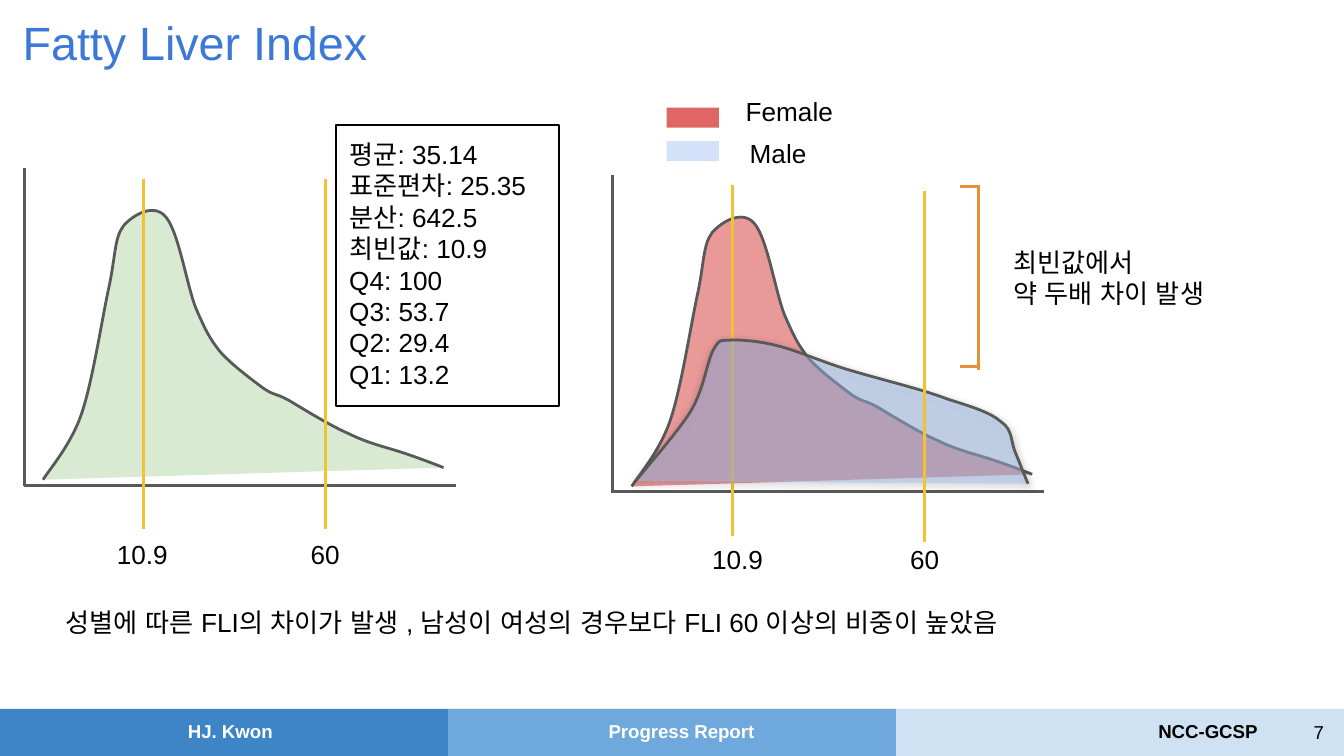
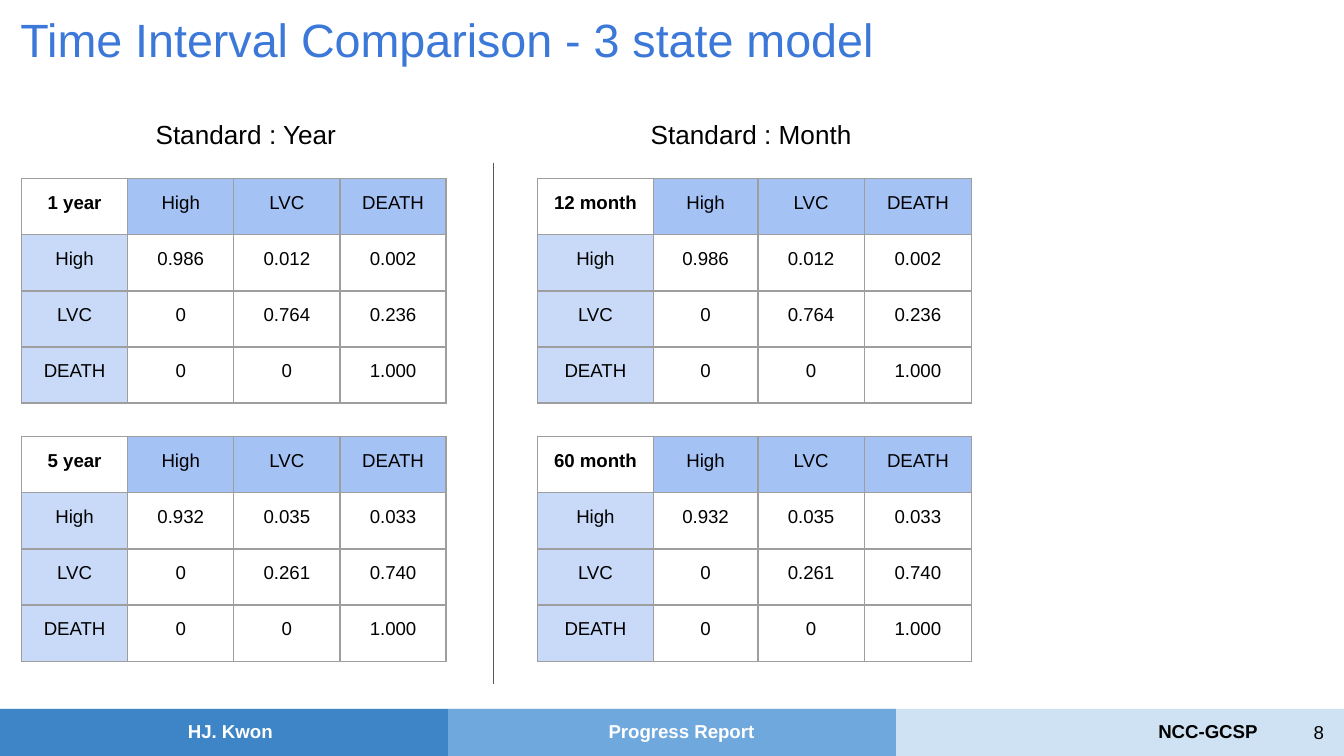
from dataclasses import dataclass

from lxml import etree
from pptx import Presentation
from pptx.dml.color import RGBColor
from pptx.enum.shapes import MSO_CONNECTOR, MSO_SHAPE
from pptx.enum.text import MSO_ANCHOR, MSO_AUTO_SIZE, PP_ALIGN
from pptx.oxml.ns import qn
from pptx.util import Pt

LEFT, CENTER, RIGHT = PP_ALIGN.LEFT, PP_ALIGN.CENTER, PP_ALIGN.RIGHT
TOP, MIDDLE = MSO_ANCHOR.TOP, MSO_ANCHOR.MIDDLE
GROW, FIXED = MSO_AUTO_SIZE.SHAPE_TO_FIT_TEXT, MSO_AUTO_SIZE.NONE
RECTANGLE, STRAIGHT = MSO_SHAPE.RECTANGLE, MSO_CONNECTOR.STRAIGHT

PX = 9144  # EMU per px, 100 px to the inch
SLIDE_WIDTH, SLIDE_HEIGHT = 1000, 562.5
INSET = 10
TITLE_ONLY = 5


@dataclass(frozen=True)
class Theme:
    font: str = "Arial"
    title_size: int = 25
    body_size: int = 14
    small_size: int = 10
    thin: float = 0.75
    thick: float = 1.5
    title: str = "3C78D8"
    ink: str = "000000"
    white: str = "FFFFFF"
    band_dark: str = "3D85C6"
    band_mid: str = "6FA8DC"
    band_light: str = "CFE2F3"
    axis: str = "595959"
    marker: str = "F1C232"
    bracket: str = "E69138"
    everyone: str = "D9EAD3"
    female: str = "EA9999"
    female_key: str = "E06666"
    male: str = "A4C2F4"
    male_alpha: int = 47
    shadow_alpha: int = 33
    column_head: str = "A4C2F4"
    row_head: str = "C9DAF8"
    grid: str = "9E9E9E"


THEME = Theme()

# Footer: bands as (left, width, colour), labels as (text, left, width, colour)
BAND_HEIGHT = 35
THIRD = SLIDE_WIDTH / 3
BANDS = [(0, SLIDE_WIDTH, THEME.band_light), (THIRD, THIRD, THEME.band_mid),
         (0, THIRD, THEME.band_dark)]
FOOTER_LABELS = [
    ("NCC-GCSP", 852, 100, THEME.ink),
    ("HJ. Kwon", 130, 130, THEME.white),
    ("Progress Report", 443, 130, THEME.white),
]

FLI_TITLE = "Fatty Liver Index"
STATISTICS = ["평균: 35.14", "표준편차: 25.35", "분산: 642.5", "최빈값: 10.9",
              "Q4: 100", "Q3: 53.7", "Q2: 29.4", "Q1: 13.2"]
MODE_NOTE = ["최빈값에서", "약 두배 차이 발생"]
CONCLUSION = "성별에 따른 FLI의 차이가 발생 , 남성이 여성의 경우보다 FLI 60 이상의 비중이 높았음"
# Marker: (label, x, top, bottom, label left, label top, label alignment)
ALL_MARKERS = [("10.9", 107, 133, 394, 76, 391, CENTER), ("60", 242, 133, 394, 212, 391, CENTER)]
MODE_MARKER = ("10.9", 545, 138, 399, 520, 394, LEFT)
CUTOFF_MARKER = ("60", 688, 142, 403, 658, 394, CENTER)
AXES = [(18, 125, 18, 362), (339, 361, 18, 361)]
BRACKET = [(714, 139, 728, 139), (728, 138, 728, 275), (714, 273, 728, 273)]
BY_SEX_OFFSET = (438, 5)
# Legend: (label, key top, label left, label top, colour, alpha)
LEGEND = [("Female", 80, 545, 61, THEME.female_key, None),
          ("Male", 105, 548, 92, THEME.male, THEME.male_alpha)]

# Curves: a start point, then cubic segments of two controls and an end point
SKEWED_CURVE = [
    (32, 357),
    (37, 349), (53, 331), (61, 307),
    (69, 283), (76, 237), (81, 214),
    (86, 191), (85, 177), (92, 168),
    (99, 160), (114, 151), (123, 161),
    (133, 172), (139, 213), (146, 230),
    (153, 246), (156, 252), (164, 262),
    (173, 272), (188, 283), (196, 289),
    (205, 295), (204, 292), (215, 298),
    (225, 304), (246, 317), (260, 323),
    (274, 330), (288, 333), (300, 337),
    (312, 341), (325, 346), (330, 348),
]
MALE_CURVE = [
    (473, 358),
    (480, 349), (504, 322), (514, 306),
    (524, 289), (526, 269), (531, 260),
    (536, 251), (537, 254), (545, 253),
    (553, 253), (567, 254), (581, 258),
    (596, 262), (613, 270), (634, 276),
    (654, 282), (687, 290), (705, 297),
    (724, 303), (737, 307), (745, 314),
    (754, 320), (752, 330), (756, 338),
    (759, 345), (763, 356), (765, 360),
]

INTERVAL_TITLE = "Time Interval Comparison - 3 state model"
STATES = ["High", "LVC", "DEATH"]
ONE_YEAR = [["0.986", "0.012", "0.002"], ["0", "0.764", "0.236"], ["0", "0", "1.000"]]
FIVE_YEARS = [["0.932", "0.035", "0.033"], ["0", "0.261", "0.740"], ["0", "0", "1.000"]]
# Standard: (heading, heading left, tables left, column widths, interval names)
STANDARDS = [
    ("Standard : Year", 75, 16, [79, 79, 79, 79], ["1 year", "5 year"]),
    ("Standard : Month", 451, 400, [86, 78, 79, 80], ["12 month", "60 month"]),
]
TABLE_TOP, TABLE_PITCH, TABLE_HEIGHT = 133, 192, 167
DIVIDER = (367, 121, 367, 509)


def emu(*lengths):
    return [round(length * PX) for length in lengths]


def rgb(code):
    return RGBColor.from_string(code)


def set_insets(holder):
    holder.margin_left = holder.margin_right = INSET * PX
    holder.margin_top = holder.margin_bottom = INSET * PX


def write(frame, lines, size, color=THEME.ink, align=LEFT, bold=False):
    for index, line in enumerate(lines):
        paragraph = frame.add_paragraph() if index else frame.paragraphs[0]
        paragraph.alignment = align
        run = paragraph.add_run()
        run.text = line
        run.font.name, run.font.size, run.font.bold = THEME.font, Pt(size), bold
        run.font.color.rgb = rgb(color)
        for script in ("a:ea", "a:cs"):
            etree.SubElement(run.font._element, qn(script), typeface=THEME.font)


def add_text(slide, lines, box, size=THEME.body_size, **style):
    frame = slide.shapes.add_textbox(*emu(*box)).text_frame
    frame.word_wrap = True
    frame.auto_size = GROW
    set_insets(frame)
    write(frame, lines, size, **style)
    return frame


def paint(shape, fill=None, line=None, width=THEME.thick, alpha=None):
    shape.shadow.inherit = False
    if fill:
        shape.fill.solid()
        shape.fill.fore_color.rgb = rgb(fill)
    else:
        shape.fill.background()
    if alpha:
        color = shape.element.spPr.find(f"{qn('a:solidFill')}/{qn('a:srgbClr')}")
        etree.SubElement(color, qn("a:alpha"), val=str(alpha * 1000))
    if line:
        shape.line.color.rgb = rgb(line)
        shape.line.width = Pt(width)
    else:
        shape.line.fill.background()


def add_box(slide, box, **look):
    shape = slide.shapes.add_shape(RECTANGLE, *emu(*box))
    paint(shape, **look)
    return shape


def add_line(shapes, ends, color, width=THEME.thick):
    connector = shapes.add_connector(STRAIGHT, *emu(*ends))
    connector.line.color.rgb = rgb(color)
    connector.line.width = Pt(width)
    etree.SubElement(connector.element.spPr, qn("a:effectLst"))


def add_line_group(slide, lines, color, dx=0, dy=0):
    group = slide.shapes.add_group_shape()
    for x1, y1, x2, y2 in lines:
        add_line(group.shapes, (x1 + dx, y1 + dy, x2 + dx, y2 + dy), color)


def add_curve(slide, curve, fill, dx=0, dy=0, alpha=None):
    """Draw a freeform through the segment ends, then bend each segment."""
    points = [emu(x + dx, y + dy) for x, y in curve]
    builder = slide.shapes.build_freeform(*points[0])
    builder.add_line_segments(points[3::3], close=False)
    shape = builder.convert_to_shape()
    for index, straight in enumerate(list(shape.element.iter(qn("a:lnTo")))):
        bend = etree.Element(qn("a:cubicBezTo"))
        for x, y in points[3 * index + 1:3 * index + 4]:
            etree.SubElement(bend, qn("a:pt"), x=str(x - shape.left), y=str(y - shape.top))
        straight.getparent().replace(straight, bend)
    paint(shape, fill, THEME.axis, alpha=alpha)
    return shape


def cast_shadow(shape):
    effects = shape.element.spPr.find(qn("a:effectLst"))
    shadow = etree.SubElement(effects, qn("a:outerShdw"), blurRad=str(Pt(4.5)),
                              dist=str(Pt(1.5)), dir="5400000", algn="bl", rotWithShape="0")
    color = etree.SubElement(shadow, qn("a:srgbClr"), val=THEME.ink)
    etree.SubElement(color, qn("a:alpha"), val=str(THEME.shadow_alpha * 1000))


def add_marker(slide, marker):
    label, x, top, bottom, label_left, label_top, align = marker
    add_line(slide.shapes, (x, top, x, bottom), THEME.marker)
    add_text(slide, [label], (label_left, label_top, 60, 44), align=align)


def add_slide(deck, title, title_box, number):
    """Add a slide with its title, footer bands and page number."""
    slide = deck.slides.add_slide(deck.slide_layouts[TITLE_ONLY])
    heading = slide.shapes.title
    heading.left, heading.top, heading.width, heading.height = emu(*title_box)
    heading.text_frame.vertical_anchor = TOP
    heading.text_frame.auto_size = GROW
    set_insets(heading.text_frame)
    write(heading.text_frame, [title], THEME.title_size, THEME.title, CENTER)
    for left, width, color in BANDS:
        add_box(slide, (left, SLIDE_HEIGHT - BAND_HEIGHT, width, BAND_HEIGHT), fill=color)
    page = add_text(slide, [str(number)], (935, 523, 60, 43), THEME.small_size, align=RIGHT)
    page.auto_size, page.vertical_anchor = FIXED, MIDDLE
    for label, left, width, color in FOOTER_LABELS:
        add_text(slide, [label], (left, 527, width, 37), THEME.small_size, color=color, bold=True)
    return slide


def add_fli_slide(deck):
    slide = add_slide(deck, FLI_TITLE, (-2, 0, 294, 62), 7)
    add_line_group(slide, AXES, THEME.axis)
    add_curve(slide, SKEWED_CURVE, THEME.everyone)
    for marker in ALL_MARKERS:
        add_marker(slide, marker)
    summary = add_box(slide, (250, 93, 166, 209), line=THEME.ink, width=THEME.thin).text_frame
    summary.vertical_anchor = TOP
    set_insets(summary)
    write(summary, STATISTICS, THEME.body_size)

    add_line_group(slide, AXES, THEME.axis, *BY_SEX_OFFSET)
    add_curve(slide, SKEWED_CURVE, THEME.female, *BY_SEX_OFFSET)
    add_marker(slide, MODE_MARKER)
    cast_shadow(add_curve(slide, MALE_CURVE, THEME.male, alpha=THEME.male_alpha))
    add_marker(slide, CUTOFF_MARKER)
    for label, key_top, label_left, label_top, color, alpha in LEGEND:
        add_box(slide, (496, key_top, 39, 15), fill=color, alpha=alpha)
        add_text(slide, [label], (label_left, label_top, 93, 44))
    add_line_group(slide, BRACKET, THEME.bracket)
    add_text(slide, [CONCLUSION], (39, 441, 813, 44))
    add_text(slide, MODE_NOTE, (744, 173, 200, 67))


def add_borders(cell):
    properties = cell._tc.get_or_add_tcPr()
    for side in ("lnL", "lnR", "lnT", "lnB"):
        border = etree.SubElement(properties, qn(f"a:{side}"), w=str(Pt(THEME.thin)))
        fill = etree.SubElement(border, qn("a:solidFill"))
        etree.SubElement(fill, qn("a:srgbClr"), val=THEME.grid)


def add_matrix(slide, interval, probabilities, left, top, widths):
    rows = [[interval] + STATES] + [[state] + row for state, row in zip(STATES, probabilities)]
    box = emu(left, top, sum(widths), TABLE_HEIGHT)
    table = slide.shapes.add_table(len(rows), len(widths), *box).table
    table.first_row = table.horz_banding = False
    for column, width in zip(table.columns, widths):
        column.width = width * PX
    for r, row in enumerate(rows):
        for c, value in enumerate(row):
            cell = table.cell(r, c)
            add_borders(cell)
            if (r == 0) != (c == 0):
                cell.fill.solid()
                cell.fill.fore_color.rgb = rgb(THEME.row_head if r else THEME.column_head)
            else:
                cell.fill.background()
            set_insets(cell)
            write(cell.text_frame, [value], THEME.small_size, align=CENTER, bold=r == c == 0)


def add_interval_slide(deck):
    slide = add_slide(deck, INTERVAL_TITLE, (0, -2, 665, 62), 8)
    for heading, heading_left, left, widths, intervals in STANDARDS:
        for index, matrix in enumerate((ONE_YEAR, FIVE_YEARS)):
            top = TABLE_TOP + index * TABLE_PITCH
            add_matrix(slide, intervals[index], matrix, left, top, widths)
        add_text(slide, [heading], (heading_left, 78, 216, 44), align=CENTER)
    add_line(slide.shapes, DIVIDER, THEME.axis, THEME.thin)


deck = Presentation()
deck.slide_width, deck.slide_height = emu(SLIDE_WIDTH, SLIDE_HEIGHT)
add_fli_slide(deck)
add_interval_slide(deck)
deck.save("out.pptx")
